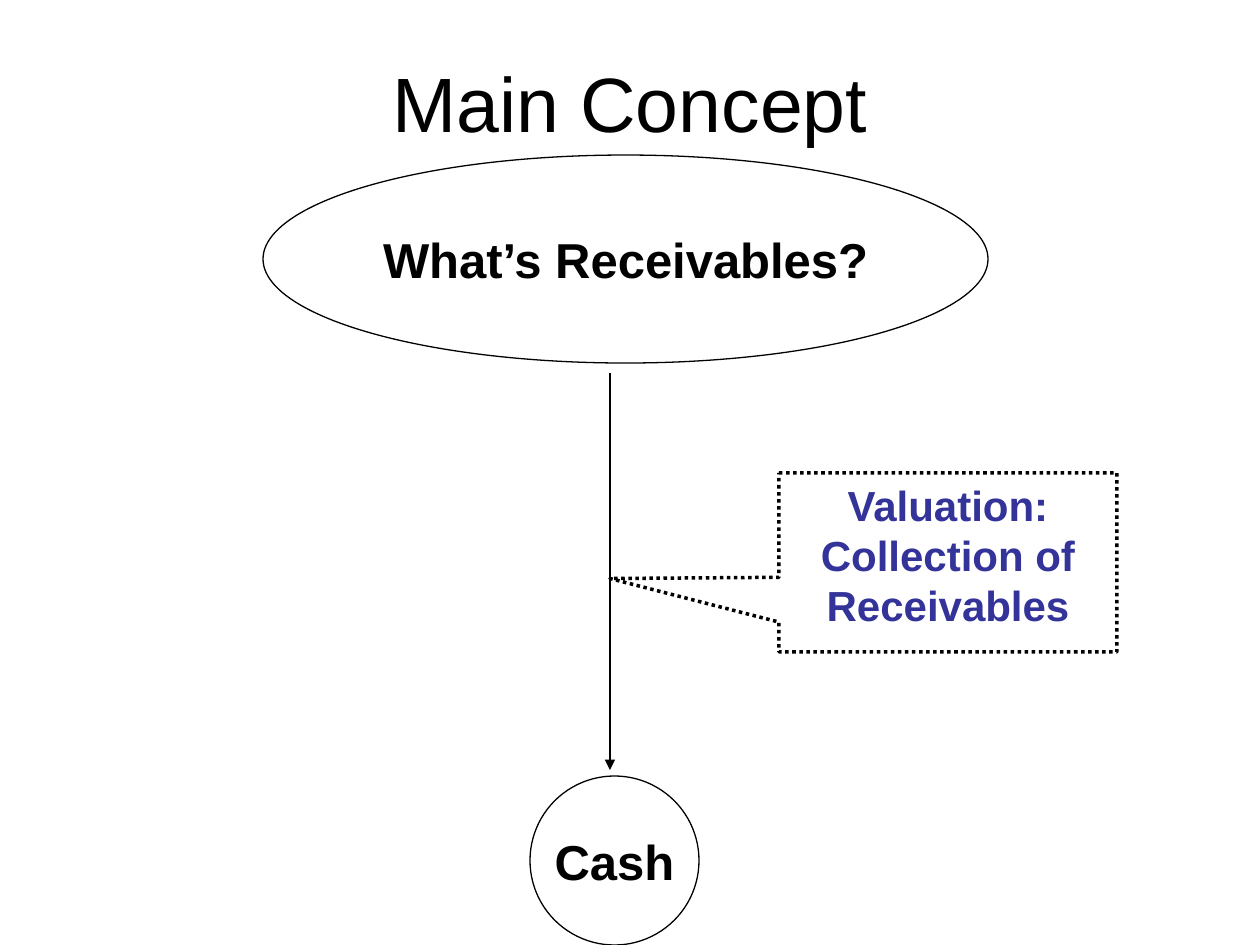
from dataclasses import dataclass

from pptx import Presentation
from pptx.dml.color import RGBColor as Rgb
from pptx.enum.dml import MSO_LINE as Dash
from pptx.enum.shapes import MSO_CONNECTOR as Wire, MSO_SHAPE as Kind
from pptx.enum.text import MSO_ANCHOR as Anchor, PP_ALIGN as Align
from pptx.oxml.ns import qn
from pptx.util import Emu, Pt
from lxml.etree import SubElement


@dataclass(frozen=True)
class Theme:
    font: str = "Arial"
    ink: Rgb = Rgb(0, 0, 0)
    accent: Rgb = Rgb(0x33, 0x33, 0x99)
    paper: Rgb = Rgb(255, 255, 255)
    head: int = 44
    node: int = 28
    note: int = 24
    thin: float = 0.75
    thick: float = 2


@dataclass(frozen=True)
class Box:
    x: int
    y: int
    w: int
    h: int

    def inner(self, x, y, w, h):
        return Box(self.x + x, self.y + y, w, h)

    def emu(self):
        return [px(n) for n in (self.x, self.y, self.w, self.h)]


THEME = Theme()
SCALE = 914400 / 126


def px(count):
    return Emu(round(count * SCALE))


def write(frame, text, size, color, bold, anchor):
    frame.text = text
    frame.vertical_anchor = anchor
    for para in frame.paragraphs:
        para.alignment = Align.CENTER
        for run in para.runs:
            font = run.font
            font.name, font.size, font.bold = THEME.font, Pt(size), bold
            font.color.rgb = color


def stroke(line, width):
    line.color.rgb = THEME.ink
    line.width = Pt(width)


def add_shape(slide, kind, box, width):
    shape = slide.shapes.add_shape(kind, *box.emu())
    shape.shadow.inherit = False
    shape.fill.background()
    stroke(shape.line, width)
    return shape


def add_node(slide, box, text):
    node = add_shape(slide, Kind.OVAL, box, THEME.thin)
    write(node.text_frame, text, THEME.node, THEME.ink, True, Anchor.MIDDLE)
    node.text_frame.word_wrap = False


def add_arrow(slide, box):
    ends = box.x, box.y, box.x + box.w, box.y + box.h
    arrow = slide.shapes.add_connector(Wire.STRAIGHT, *map(px, ends))
    stroke(arrow.line, THEME.thin)
    SubElement(arrow.line._get_or_add_ln(), qn("a:tailEnd"), type="triangle")
    SubElement(arrow._element.spPr, qn("a:effectLst"))


def add_note(slide, box, text):
    note = add_shape(slide, Kind.RECTANGULAR_CALLOUT, box, THEME.thick)
    note.adjustments[0] = -1
    note.adjustments[1] = 0.09
    note.line.dash_style = Dash.ROUND_DOT
    write(note.text_frame, text, THEME.note, THEME.accent, True, Anchor.TOP)
    note.text_frame.word_wrap = True


def add_title(slide, box, text):
    title = slide.shapes.title
    title.left, title.top, title.width, title.height = box.emu()
    write(title.text_frame, text, THEME.head, THEME.ink, False, Anchor.MIDDLE)


def add_flow(slide, box):
    add_node(slide, box.inner(0, 0, 725, 208), "What’s Receivables?")
    add_node(slide, box.inner(267, 621, 169, 169), "Cash")
    add_arrow(slide, box.inner(347, 218, 0, 397))
    add_note(slide, box.inner(516, 318, 338, 179),
             "Valuation:\nCollection of Receivables")


def main():
    deck = Presentation()
    deck.slide_width, deck.slide_height = px(1260), px(945)
    slide = deck.slides.add_slide(deck.slide_layouts.get_by_name("Title Only"))
    fill = slide.background.fill
    fill.solid()
    fill.fore_color.rgb = THEME.paper
    add_title(slide, Box(63, 38, 1134, 127), "Main Concept")
    add_flow(slide, Box(263, 155, 854, 790))
    deck.save("out.pptx")


if __name__ == "__main__":
    main()
